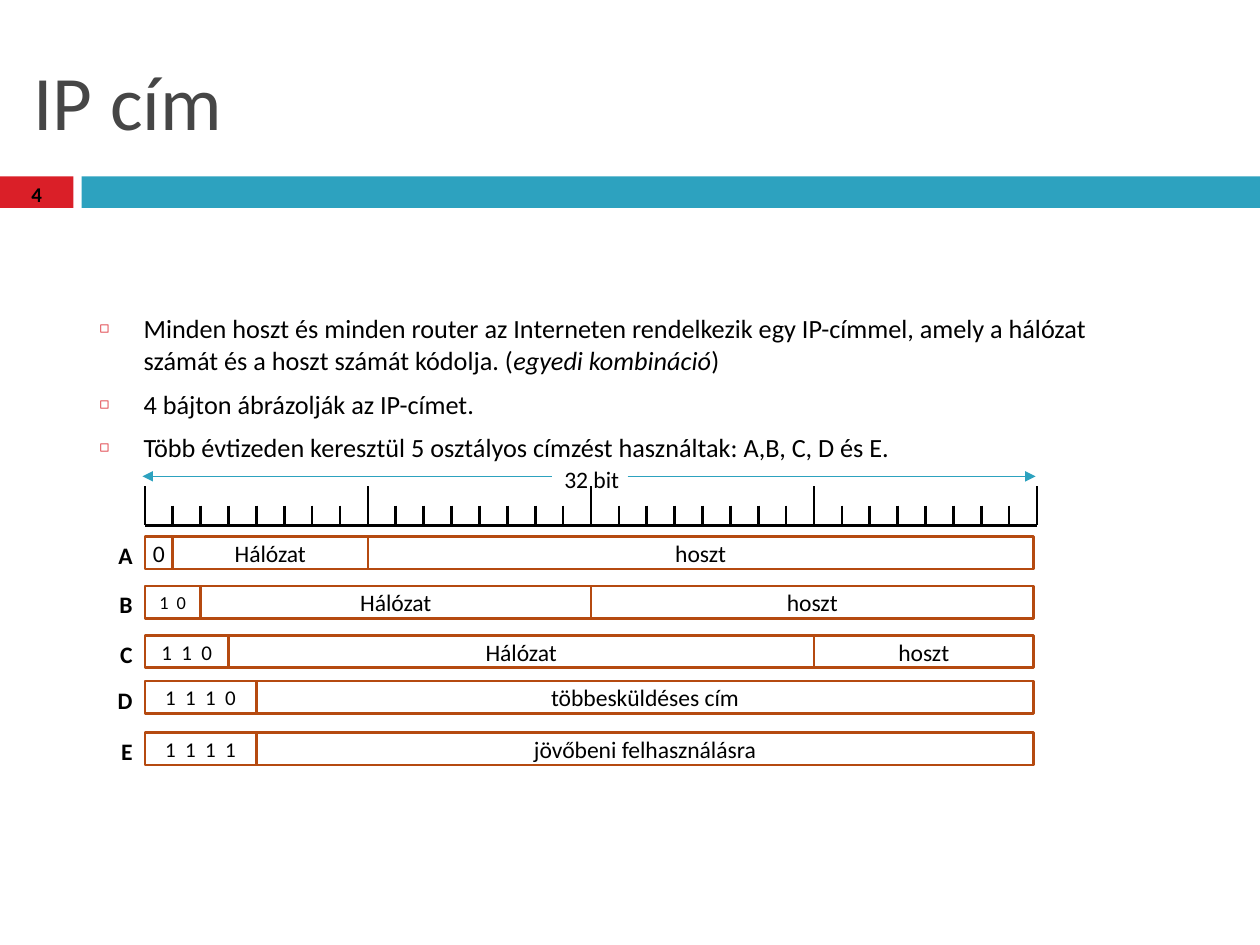
from dataclasses import dataclass

from lxml import etree
from pptx import Presentation
from pptx import util as u
from pptx.dml.color import RGBColor
from pptx.enum import shapes, text
from pptx.oxml import ns


@dataclass
class Theme:
    font: str = "Calibri"
    ink: str = "000000"
    grey: str = "464646"
    red: str = "DA1F28"
    teal: str = "2DA2BF"
    rust: str = "B54A10"
    head: float = 44
    body: float = 15
    main: float = 13.5
    code: float = 12
    small: float = 10.5


LEFT, MID, RIGHT = text.PP_ALIGN.LEFT, text.PP_ALIGN.CENTER, text.PP_ALIGN.RIGHT
TOP, CENTER = text.MSO_ANCHOR.TOP, text.MSO_ANCHOR.MIDDLE


def tag(node, name, **attrs):
    return etree.SubElement(node, ns.qn(name), attrs)


def write(para, words, *, font, size, ink, bold=False, slant=False,
          align=LEFT, track=0):
    """Add one formatted run; track is extra letter spacing in points."""
    para.alignment = align
    run = para.add_run()
    run.text = words
    face = run.font
    face.name, face.size = font, u.Pt(size)
    face.bold, face.italic = bold, slant
    face.color.rgb = RGBColor.from_string(ink)
    if track:
        run._r.get_or_add_rPr().set("spc", str(round(track * 100)))


class Page:
    def __init__(self, slide, theme):
        self.slide, self.theme = slide, theme

    def put(self, para, words, size=None, ink=None, **form):
        t = self.theme
        write(para, words, font=t.font, size=size or t.main,
              ink=ink or t.ink, **form)

    def place(self, shape, x, y, w, h):
        shape.left, shape.top = u.Pt(x), u.Pt(y)
        shape.width, shape.height = u.Pt(w), u.Pt(h)

    def title(self, words, *area):
        shape = self.slide.shapes.title
        self.place(shape, *area)
        frame = shape.text_frame
        frame.auto_size = text.MSO_AUTO_SIZE.NONE
        frame.vertical_anchor = CENTER
        self.put(frame.paragraphs[0], words, self.theme.head, self.theme.grey)

    def bullets(self, items, *area):
        """Each item is a list of (words, slant) pairs."""
        shape = self.slide.placeholders[1]
        self.place(shape, *area)
        frame = shape.text_frame
        frame.auto_size = text.MSO_AUTO_SIZE.NONE
        for n, item in enumerate(items):
            para = frame.add_paragraph() if n else frame.paragraphs[0]
            para.space_before = u.Pt(7)
            props = para._p.get_or_add_pPr()
            props.set("marL", str(u.Pt(25.2)))
            props.set("indent", str(-u.Pt(25.2)))
            tag(tag(props, "a:buClr"), "a:srgbClr", val=self.theme.red)
            tag(props, "a:buSzPct", val="60000")
            tag(props, "a:buChar", char="◻")
            for words, slant in item:
                self.put(para, words, self.theme.body, slant=slant)

    def rect(self, *area, fill=None, edge=None, words="", **form):
        shape = self.slide.shapes.add_shape(
            shapes.MSO_SHAPE.RECTANGLE, *map(u.Pt, area))
        shape.shadow.inherit = False
        if fill:
            shape.fill.solid()
            shape.fill.fore_color.rgb = RGBColor.from_string(fill)
        else:
            shape.fill.background()
        if edge:
            shape.line.color.rgb = RGBColor.from_string(edge)
            shape.line.width = u.Pt(1.5)
        else:
            shape.line.fill.background()
        if words:
            frame = shape.text_frame
            frame.margin_left = frame.margin_right = 0
            frame.margin_top = frame.margin_bottom = 0
            frame.vertical_anchor = CENTER
            frame.word_wrap = False
            self.put(frame.paragraphs[0], words, align=MID, **form)

    def label(self, words, *area, wrap=True, anchor=TOP, **form):
        frame = self.slide.shapes.add_textbox(*map(u.Pt, area)).text_frame
        frame.word_wrap = wrap
        frame.vertical_anchor = anchor
        self.put(frame.paragraphs[0], words, **form)

    def line(self, *ends, ink=None, width=1.5, arrow=False):
        link = self.slide.shapes.add_connector(
            shapes.MSO_CONNECTOR.STRAIGHT, *map(u.Pt, ends))
        link.line.color.rgb = RGBColor.from_string(ink or self.theme.ink)
        link.line.width = u.Pt(width)
        if arrow:
            tag(link.line._get_or_add_ln(), "a:tailEnd", type="triangle")
        tag(link._element.spPr, "a:effectLst")


def main():
    deck = Presentation()
    deck.slide_width, deck.slide_height = u.Pt(720), u.Pt(540)
    theme = Theme()
    page = Page(deck.slides.add_slide(deck.slide_layouts[1]), theme)

    # Header bands, title and page number
    page.rect(0, 100.8, 42, 18, fill=theme.red)
    page.rect(46.6, 100.8, 673.4, 18, fill=theme.teal)
    page.title("IP cím", 12, 18, 696, 78)
    page.label("4", 0, 98.8, 42, 24, anchor=CENTER, size=theme.code,
               bold=True, align=MID)

    # Bullet list
    page.bullets([
        [("Minden hoszt és minden router az Interneten rendelkezik egy "
          "IP-címmel, amely a hálózat számát és a hoszt számát kódolja. (",
          False), ("egyedi kombináció", True), (")", False)],
        [("4 bájton ábrázolják az IP-címet.", False)],
        [("Több évtizeden keresztül 5 osztályos címzést használtak: "
          "A,B, C, D és E.", False)],
    ], 49.7, 175, 620.6, 98.6)

    # Ruler: 32 bits, with a tall tick at each byte
    bits, start, end, base = 32, 82.8, 592.6, 300.3
    step = (end - start) / bits
    page.line(start, base, end, base)
    for bit in range(bits + 1):
        x = start + bit * step
        page.line(x, base - (11.4 if bit % 8 else 22.4), x, base)

    # Width arrows on both sides of the caption
    page.label("32 bit", 315.4, 262.1, 47.5, 23.8, wrap=False)
    for x, tip in ((358.6, 591.8), (315.4, 81.4)):
        page.line(x, 272.2, tip, 272.2, ink=theme.teal, width=0.79, arrow=True)

    # Address classes: name, top, prefix, its size, fields with first bit
    net, host = "Hálózat", "hoszt"
    rows = [
        ("A", 306.7, "0", theme.main, [(1, net), (8, host)]),
        ("B", 334.8, "1 0", theme.small, [(2, net), (16, host)]),
        ("C", 363.1, "1 1 0", theme.code, [(3, net), (24, host)]),
        ("D", 389.2, "1 1 1 0", theme.code, [(4, "többesküldéses cím")]),
        ("E", 418.7, "1 1 1 1", theme.code, [(4, "jövőbeni felhasználásra")]),
    ]
    edge = 590.6
    for name, top, code, size, parts in rows:
        page.label(name, 0, top - 1, start, 23.8, bold=True, align=RIGHT)
        cells = [(0, code), *parts]
        lefts = [start + bit * step for bit, _ in cells] + [edge]
        for n, (bit, words) in enumerate(cells):
            form = {} if bit else {"size": size, "track": size * 0.11}
            page.rect(lefts[n], top, lefts[n + 1] - lefts[n], 18.5,
                      edge=theme.rust, words=words, **form)

    deck.save("out.pptx")


if __name__ == "__main__":
    main()
